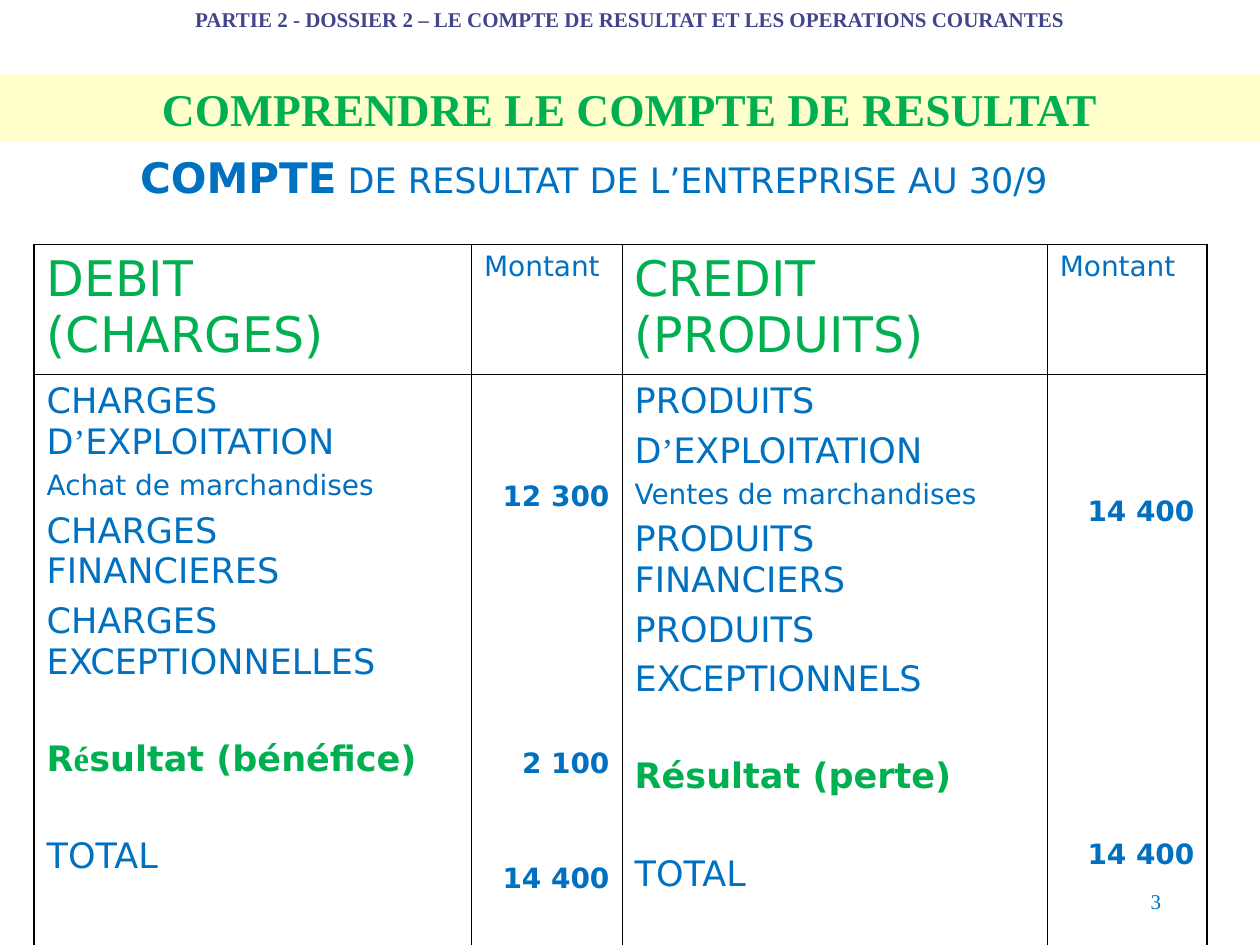
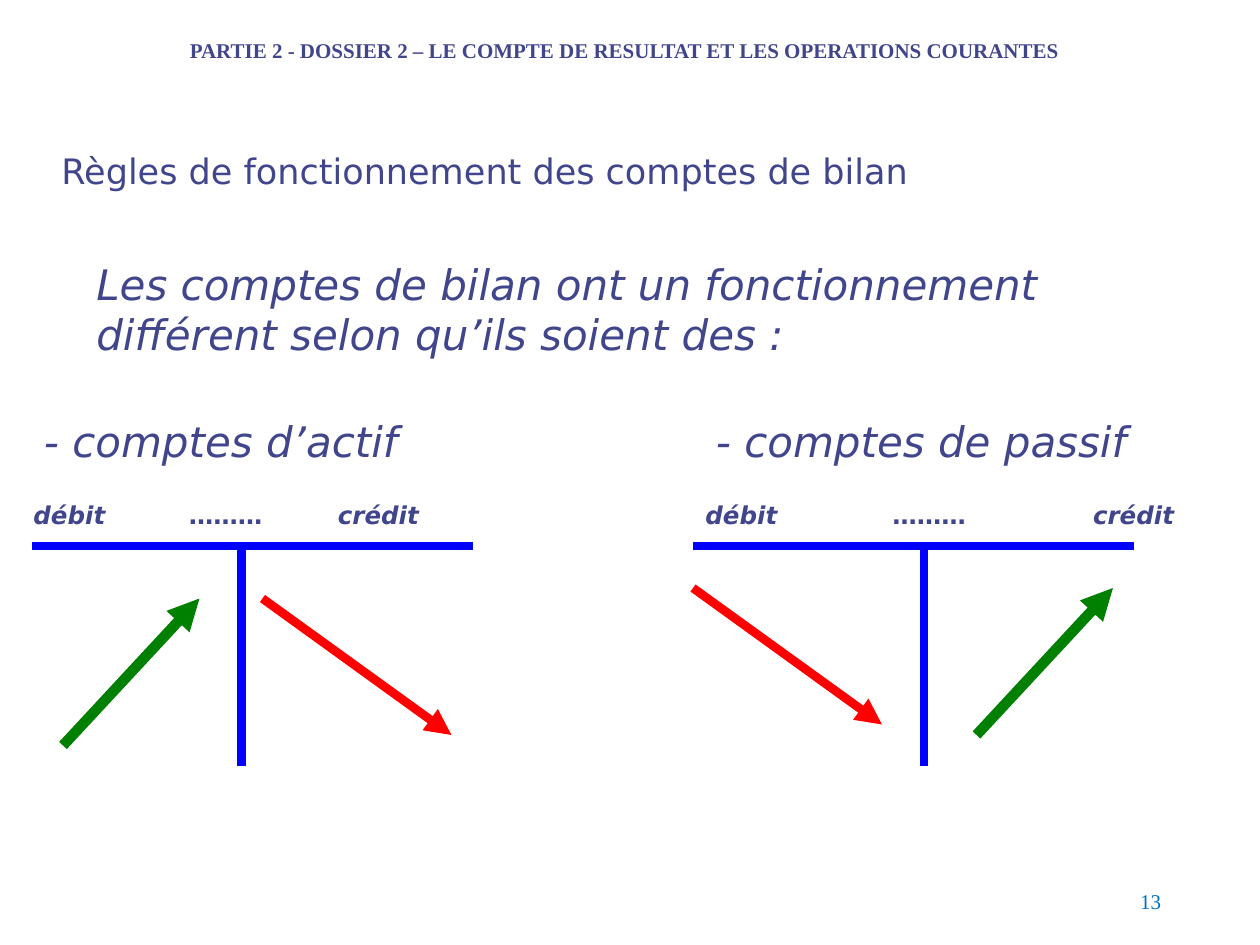
from lxml import etree
from pptx import Presentation
from pptx.dml.color import RGBColor
from pptx.enum import shapes, text
from pptx.oxml import ns
from pptx.util import Pt

NAVY = RGBColor(0x40, 0x45, 0x8C)
BLUE = RGBColor(0x00, 0x70, 0xC0)
GREEN = RGBColor(0x00, 0xB0, 0x50)
CREAM = RGBColor(0xFF, 0xFF, 0xCC)
AXIS_BLUE = RGBColor(0x00, 0x00, 0xFF)
RISE_GREEN = RGBColor(0x00, 0x80, 0x00)
FALL_RED = RGBColor(0xFF, 0x00, 0x00)
SANS, SERIF = "DejaVu Sans", "Times New Roman"
LEFT, CENTER, RIGHT = text.PP_ALIGN.LEFT, text.PP_ALIGN.CENTER, text.PP_ALIGN.RIGHT
HEADING = "PARTIE 2 - DOSSIER 2 – LE COMPTE DE RESULTAT ET LES OPERATIONS COURANTES"


def write(para, parts, size, color, font=SANS, align=LEFT, bold=False, italic=False):
    """Fill a paragraph; every second part is set in the serif font."""
    para.alignment = align
    para.font.name, para.font.size = font, Pt(size)
    para.font.bold, para.font.italic = bold, italic
    para.font.color.rgb = color
    for index, part in enumerate(parts):
        span = para.add_run()
        span.text = part
        if index % 2:
            span.font.name = SERIF


def add_text(page, place, wording, size, color, **style):
    box = page.shapes.add_textbox(*map(Pt, place))
    box.text_frame.word_wrap = True
    write(box.text_frame.paragraphs[0], [wording], size, color, **style)
    return box


deck = Presentation()
deck.slide_width, deck.slide_height = Pt(720), Pt(540)
result_page, rules_page = [deck.slides.add_slide(deck.slide_layouts[6]) for _ in range(2)]

# Heading and page number on both slides
for page, left, top, number in [(result_page, 21, 0, "3"), (rules_page, 18, 18, "13")]:
    add_text(page, (left, top, 678, 21.6), HEADING, 12, NAVY,
             font=SERIF, align=CENTER, bold=True)
    box = add_text(page, (508.5, 500.5, 162, 28.8), number, 12, BLUE, font=SERIF, align=RIGHT)
    box.text_frame.vertical_anchor = text.MSO_ANCHOR.MIDDLE

# Slide 1: title band and subtitle
band = result_page.shapes.add_shape(
    shapes.MSO_SHAPE.RECTANGLE, Pt(0), Pt(42.5), Pt(720), Pt(38.5))
band.shadow.inherit = False
band.fill.solid()
band.fill.fore_color.rgb = CREAM
band.line.fill.background()
band.text_frame.vertical_anchor = text.MSO_ANCHOR.TOP
write(band.text_frame.paragraphs[0], ["COMPRENDRE LE COMPTE DE RESULTAT"], 26, GREEN,
      font=SERIF, align=CENTER, bold=True)

subtitle = add_text(result_page, (36.5, 83, 606, 36), "COMPTE", 20, BLUE, align=CENTER)
para = subtitle.text_frame.paragraphs[0]
para.runs[0].font.size, para.runs[0].font.bold = Pt(24), True
para.add_run().text = " DE RESULTAT DE L’ENTREPRISE AU 30/9"

# Slide 1: result account; each line is (parts, size, colour, bold, space before)
SECTION, DETAIL = (20, BLUE, False, 5), (16, BLUE, False, 4)
RESULT, TOTAL = (20, GREEN, True, 32.4), (20, BLUE, False, 32.4)
SIDE = (28, GREEN, False, 0)
labels = [
    [(["DEBIT (CHARGES)"], *SIDE)],
    [(["CREDIT (PRODUITS)"], *SIDE)],
    [(["CHARGES D", "’", "EXPLOITATION"], *SECTION),
     (["Achat de marchandises"], *DETAIL),
     (["CHARGES FINANCIERES"], *SECTION),
     (["CHARGES EXCEPTIONNELLES"], *SECTION),
     (["R", "é", "sultat (bénéfice)"], *RESULT),
     (["TOTAL"], *TOTAL)],
    [(["PRODUITS"], *SECTION),
     (["D", "’", "EXPLOITATION"], *SECTION),
     (["Ventes de marchandises"], *DETAIL),
     (["PRODUITS FINANCIERS"], *SECTION),
     (["PRODUITS"], *SECTION),
     (["EXCEPTIONNELS"], *SECTION),
     (["Résultat (perte)"], *RESULT),
     (["TOTAL"], *TOTAL)],
]
montant = [(["Montant"], *DETAIL)]
debits = [([amount], 16, BLUE, True, gap)
          for amount, gap in [("12 300", 0), ("2 100", 134.2), ("14 400", 47.4)]]
credits = [([amount], 16, BLUE, True, gap) for amount, gap in [("14 400", 0), ("14 400", 177.6)]]
rows = [[labels[0], montant, labels[1], montant],
        [labels[2], debits, labels[3], credits]]

frame = result_page.shapes.add_table(2, 4, Pt(19.5), Pt(139.7), Pt(670.3), Pt(423.4))
account = frame.table
account.first_row = account.horz_banding = False
for column, width in zip(account.columns, [250, 86, 243, 91.3]):
    column.width = Pt(width)
for row, height in zip(account.rows, [74.2, 349.2]):
    row.height = Pt(height)

for r, row in enumerate(rows):
    for c, lines in enumerate(row):
        cell = account.cell(r, c)
        is_amount = r == 1 and c % 2 == 1
        if is_amount:
            cell.margin_top = Pt(60.4 if c == 1 else 68.8)
        for index, (parts, size, color, bold, gap) in enumerate(lines):
            para = cell.text_frame.paragraphs[0] if index == 0 else cell.text_frame.add_paragraph()
            write(para, parts, size, color, bold=bold, align=RIGHT if is_amount else LEFT)
            if index:
                para.space_before = Pt(gap)
        properties = cell._tc.get_or_add_tcPr()
        for side, outer in [("L", c == 0), ("R", c == 3), ("T", r == 0), ("B", r == 1)]:
            border = etree.SubElement(properties, ns.qn(f"a:ln{side}"),
                                      w=str(Pt(1.08 if outer else 0.45)))
            fill = etree.SubElement(border, ns.qn("a:solidFill"))
            etree.SubElement(fill, ns.qn("a:srgbClr"), val="000000")
        cell.fill.background()

# Slide 2: statements
add_text(rules_page, (28, 82, 564, 31.7), "Règles de fonctionnement des comptes de bilan", 20, NAVY)
for place, wording in [
    ((48, 144, 654, 65), "Les comptes de bilan ont un fonctionnement différent selon qu’ils soient des :"),
    ((18, 234, 264, 36), "- comptes d’actif"),
    ((402, 234, 264, 36), "- comptes de passif"),
]:
    add_text(rules_page, place, wording, 24, NAVY, italic=True)

# Slide 2: T accounts
for left, width, wording, align in [
    (12, 84, "débit", LEFT), (72, 114, "………", CENTER), (186, 84, "crédit", LEFT),
    (396, 84, "débit", LEFT), (474, 114, "………", CENTER), (594, 84, "crédit", RIGHT),
]:
    add_text(rules_page, (left, 282, width, 24.5), wording, 14, NAVY,
             align=align, bold=True, italic=wording != "………")

for start_x, start_y, end_x, end_y, color, width in [
    (18, 312, 270, 312, AXIS_BLUE, 5),
    (396, 312, 648, 312, AXIS_BLUE, 5),
    (138, 312, 138, 438, AXIS_BLUE, 5),
    (528, 312, 528, 438, AXIS_BLUE, 5),
    (36, 426, 114, 342, RISE_GREEN, 6),
    (558, 420, 636, 336, RISE_GREEN, 6),
    (150, 342, 258, 420, FALL_RED, 5),
    (396, 336, 504, 414, FALL_RED, 5),
]:
    line = rules_page.shapes.add_connector(
        shapes.MSO_CONNECTOR.STRAIGHT, Pt(start_x), Pt(start_y), Pt(end_x), Pt(end_y))
    line.line.color.rgb = color
    line.line.width = Pt(width)
    if color != AXIS_BLUE:
        etree.SubElement(line.line._get_or_add_ln(), ns.qn("a:tailEnd"), type="triangle")
    etree.SubElement(line._element.spPr, ns.qn("a:effectLst"))

deck.save("out.pptx")
